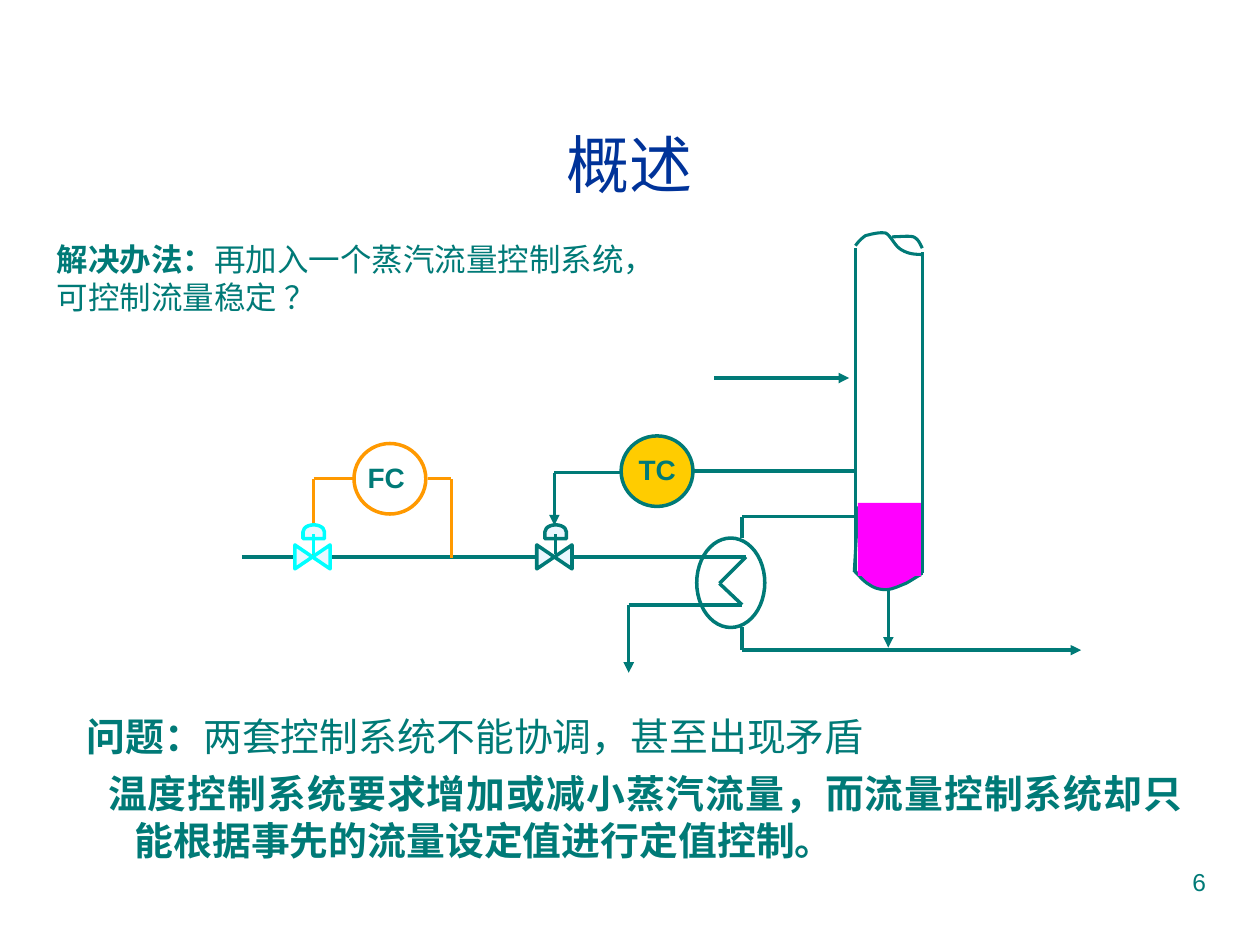
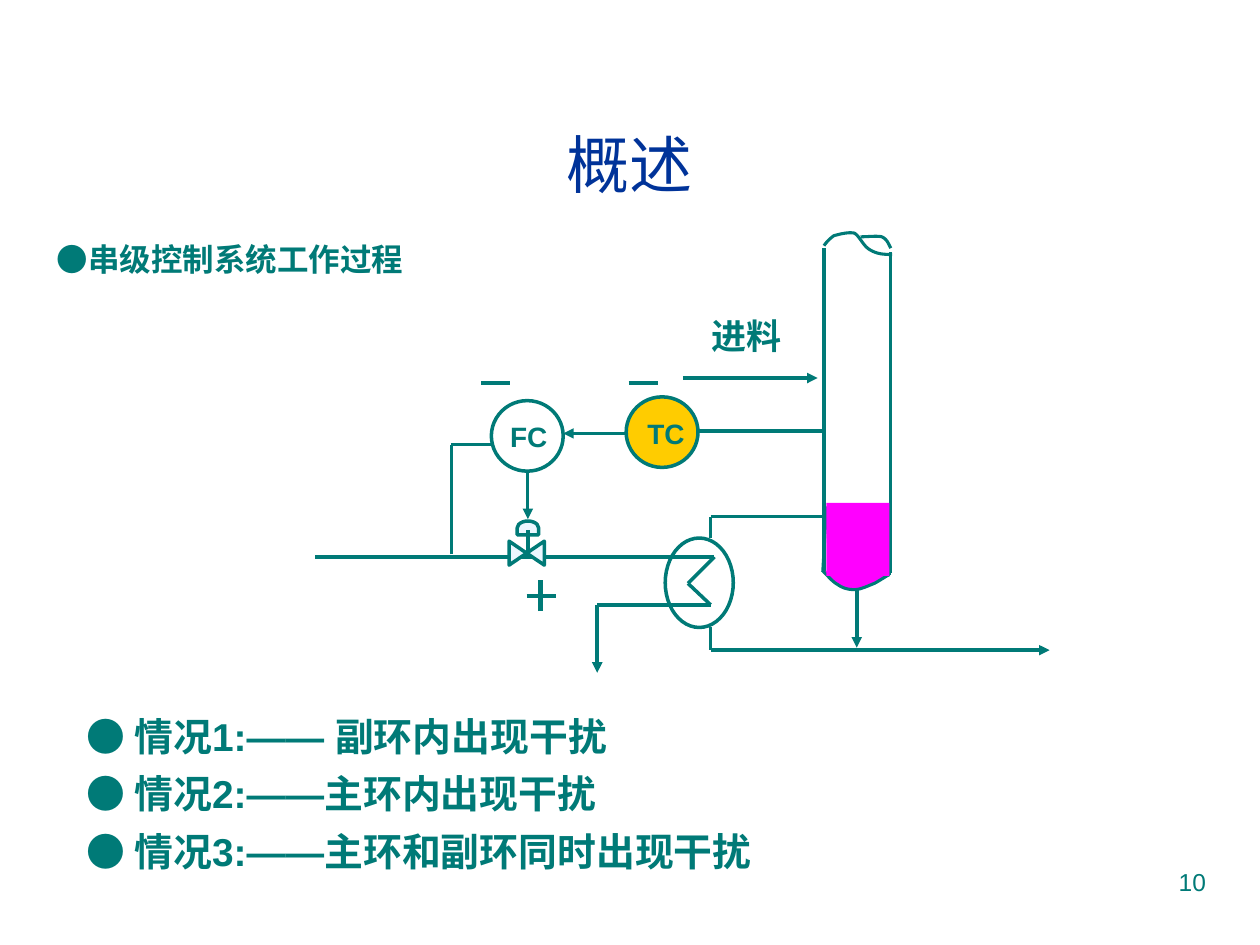
from dataclasses import dataclass
from typing import Optional

from lxml.etree import SubElement
from pptx import Presentation
from pptx.dml.color import RGBColor as Color
from pptx.enum.shapes import MSO_CONNECTOR as Link, MSO_SHAPE as Form
from pptx.enum.text import MSO_ANCHOR as Anchor, PP_ALIGN as Align
from pptx.oxml.ns import qn
from pptx.util import Cm, Pt

TEAL = Color(0x00, 0x7A, 0x77)
NAVY = Color(0x00, 0x33, 0x99)
GOLD = Color(0xFF, 0xCC, 0x00)
ORANGE = Color(0xFF, 0x99, 0x00)
CYAN = Color(0x00, 0xFF, 0xFF)
PINK = Color(0xFF, 0x00, 0xFF)
PALE = Color(0xEB, 0xF7, 0xFF)
FONT = "Arial"
GRID = 2.54  # centimetres in one grid unit
THIN, NORMAL, THICK = 1.75, 2, 2.75


@dataclass
class Para:
    text: str
    size: float
    lead: str = ""  # bold opening words
    bold: bool = False
    color: Color = TEAL
    align: Align = Align.LEFT
    before: float = 0
    left: float = 0
    first: float = 0


@dataclass
class Line:
    x1: float
    y1: float
    x2: float
    y2: float
    width: float = NORMAL
    color: Color = TEAL
    arrow: bool = False


@dataclass
class Dial:
    name: str
    x: float
    y: float
    dx: float  # label offset
    dy: float
    color: Color = TEAL
    fill: Optional[Color] = None


def unit(value: float) -> Cm:
    return Cm(value * GRID)


# Text
def fill_para(para, item: Para) -> None:
    para.alignment = item.align
    if item.before:
        para.space_before = Pt(item.before)
    if item.left:
        props = para._p.get_or_add_pPr()
        props.set("marL", str(unit(item.left)))
        props.set("indent", str(unit(item.first)))
    font = para.font
    font.name, font.size = FONT, Pt(item.size)
    font.color.rgb = item.color
    if item.lead:
        for words, bold in ((item.lead, True), (item.text, False)):
            run = para.add_run()
            run.text, run.font.bold = words, bold
    else:
        font.bold = item.bold
        para.add_run().text = item.text


def add_text(slide, x: float, y: float, w: float, h: float, *items: Para,
             wrap: bool = True, anchor: Anchor = Anchor.TOP) -> None:
    frame = slide.shapes.add_textbox(unit(x), unit(y), unit(w), unit(h)).text_frame
    frame.word_wrap, frame.vertical_anchor = wrap, anchor
    for i, item in enumerate(items):
        fill_para(frame.add_paragraph() if i else frame.paragraphs[0], item)


# Shapes and lines
def paint(shape, fill: Optional[Color], color: Optional[Color],
          width: float = NORMAL) -> None:
    shape.shadow.inherit = False
    if fill is None:
        shape.fill.background()
    else:
        shape.fill.solid()
        shape.fill.fore_color.rgb = fill
    if color is None:
        shape.line.fill.background()
    else:
        shape.line.color.rgb, shape.line.width = color, Pt(width)


def add_form(slide, form: Form, x: float, y: float, w: float, h: float,
             fill: Optional[Color] = None, color: Optional[Color] = TEAL,
             turn: float = 0) -> None:
    shape = slide.shapes.add_shape(form, unit(x), unit(y), unit(w), unit(h))
    shape.rotation = turn
    paint(shape, fill, color)


def add_line(slide, line: Line, dx: float = 0) -> None:
    link = slide.shapes.add_connector(
        Link.STRAIGHT, unit(line.x1 + dx), unit(line.y1),
        unit(line.x2 + dx), unit(line.y2))
    link.line.color.rgb, link.line.width = line.color, Pt(line.width)
    if line.arrow:
        SubElement(link.line._get_or_add_ln(), qn("a:tailEnd")).set("type", "triangle")
    SubElement(link._element.spPr, qn("a:effectLst"))


def add_curve(slide, nodes: list, dx: float, fill: Optional[Color] = None) -> None:
    """Draw cubic curves through a start point and triples of control points."""
    steps, dots = 10, []
    for i in range(0, len(nodes) - 1, 3):
        a, b, c, d = nodes[i:i + 4]
        for n in range(1, steps + 1):
            t = n / steps
            s = 1 - t
            x, y = (s**3 * p + 3 * s * s * t * q + 3 * s * t * t * r + t**3 * e
                    for p, q, r, e in zip(a, b, c, d))
            dots.append((unit(x + dx), unit(y)))
    x, y = nodes[0]
    pen = slide.shapes.build_freeform(unit(x + dx), unit(y))
    pen.add_line_segments(dots, close=False)
    paint(pen.convert_to_shape(), fill, TEAL, THIN)


# Plant parts
def add_dial(slide, dial: Dial) -> None:
    add_form(slide, Form.OVAL, dial.x, dial.y, 0.57, 0.56, dial.fill, dial.color)
    add_text(slide, dial.x + dial.dx, dial.y + dial.dy, 0.6, 0.37,
             Para(dial.name, 16, bold=True), wrap=False)


def add_valve(slide, x: float, y: float, color: Color = TEAL) -> None:
    stem = x + 0.01
    for form, mid, top, w, h in (
            (Form.FLOWCHART_COLLATE, x, y, 0.19, 0.28),
            (Form.FLOWCHART_DELAY, stem, y - 0.2, 0.11, 0.17)):
        add_form(slide, form, mid - w / 2, top - h / 2, w, h, PALE, color, 270)
    add_line(slide, Line(stem, y - 0.02, stem, y - 0.18, color=color))


PIPES = [
    Line(5.89, 4.98, 5.89, 5.16), Line(4.99, 4.8, 5.89, 4.8),
    Line(4.99, 4.8, 4.99, 5.34, arrow=True),
    Line(5.89, 4.1, 6.79, 4.1), Line(5.89, 4.27, 5.89, 4.1),
    Line(5.89, 5.16, 8.58, 5.16, arrow=True),
    Line(5.92, 4.42, 5.71, 4.63), Line(5.71, 4.63, 5.89, 4.8),
    Line(5.67, 3, 6.74, 3, arrow=True),
    Line(7.05, 4.67, 7.05, 5.14, arrow=True),
]
WALLS = [
    Line(6.79, 1.97, 6.79, 4.53, THIN), Line(7.32, 2, 7.32, 4.55, THIN),
    Line(6.81, 4.02, 6.78, 4.54, THIN), Line(7.31, 4.02, 7.31, 4.56, THIN),
]
RIM = [(6.79, 1.95), (6.81, 1.92), (6.84, 1.89), (6.87, 1.87), (6.91, 1.86),
       (6.98, 1.84), (7.03, 1.85), (7.07, 1.87), (7.1, 1.95), (7.15, 1.98),
       (7.2, 2.01), (7.24, 2.02), (7.33, 2.02)]
LIP = [(7.32, 1.97), (7.3, 1.93), (7.29, 1.9), (7.25, 1.88),
       (7.21, 1.87), (7.14, 1.88), (7.08, 1.88)]
BASE = [(6.78, 4.53), (6.82, 4.57), (6.86, 4.62), (6.9, 4.64), (6.94, 4.67),
        (6.99, 4.68), (7.03, 4.68), (7.08, 4.68), (7.14, 4.65), (7.19, 4.63),
        (7.23, 4.61), (7.27, 4.58), (7.31, 4.56)]


def add_plant(slide, dx: float, start: float) -> None:
    """Heater, tower and pipes, moved by dx; the steam pipe begins at start."""
    add_form(slide, Form.OVAL, 5.53 + dx, 4.27, 0.54, 0.71)
    add_line(slide, Line(start, 4.42, 5.92 + dx, 4.42))
    for line in PIPES + WALLS:
        add_line(slide, line, dx)
    for nodes, fill in ((RIM, None), (LIP, None), (BASE, PINK)):
        add_curve(slide, nodes, dx, fill)
    add_form(slide, Form.RECTANGLE, 6.81 + dx, 3.99, 0.5, 0.58, PINK, None)


def add_page(deck, number: int, lead: Para, *body: Para):
    """Blank slide with the shared title, lead, body and page number."""
    slide = deck.slides.add_slide(deck.slide_layouts[6])
    add_text(slide, 7.17, 6.83, 2.5, 0.52, Para(str(number), 14, align=Align.RIGHT))
    add_text(slide, 0.35, 1.86, 5.15, 0.7, lead)
    add_text(slide, 0.33, 0.67, 9.34, 1.25,
             Para("概述", 36, color=NAVY, align=Align.CENTER), anchor=Anchor.MIDDLE)
    add_text(slide, 0.59, 5.61, 8.9, 1.37, *body)
    return slide


def add_clash(deck) -> None:
    """Two separate control loops."""
    slide = add_page(
        deck, 6,
        Para("再加入一个蒸汽流量控制系统，可控制流量稳定 ？", 18, lead="解决办法："),
        Para("两套控制系统不能协调，甚至出现矛盾", 22.2, lead="问题：",
             align=Align.JUSTIFY, left=0.38, first=-0.38),
        Para("温度控制系统要求增加或减小蒸汽流量，而流量控制系统却只能根据事先的流量设定值进行定值控制。",
             22.2, bold=True, align=Align.JUSTIFY, before=6, left=0.38, first=-0.21))
    add_plant(slide, 0, 1.92)
    # Temperature loop
    for line in (Line(5.5, 3.74, 6.79, 3.74), Line(4.4, 3.75, 4.92, 3.75),
                 Line(4.4, 3.75, 4.4, 4.17, arrow=True)):
        add_line(slide, line)
    add_valve(slide, 4.4, 4.42)
    add_dial(slide, Dial("TC", 4.93, 3.46, 0.04, 0.08, fill=GOLD))
    # Flow loop
    for ends in ((2.49, 4.43, 2.49, 3.8), (2.49, 3.8, 2.81, 3.8),
                 (3.4, 3.8, 3.58, 3.8), (3.58, 3.8, 3.58, 4.43)):
        add_line(slide, Line(*ends, THIN, ORANGE))
    add_valve(slide, 2.48, 4.42, CYAN)
    add_dial(slide, Dial("FC", 2.81, 3.52, 0.01, 0.09, ORANGE))


def add_cascade(deck) -> None:
    """Cascade of the two loops."""
    cases = ("● 情况1:—— 副环内出现干扰", "● 情况2:——主环内出现干扰",
             "● 情况3:——主环和副环同时出现干扰")
    slide = add_page(
        deck, 10,
        Para("●串级控制系统工作过程", 18, bold=True),
        *(Para(case, 22.2, bold=True, align=Align.JUSTIFY, before=6 if i else 0,
               left=0.38, first=-0.38) for i, case in enumerate(cases)))
    add_plant(slide, -0.25, 2.5)
    # Signals
    for line in (Line(5.42, 3.42, 6.54, 3.42), Line(4.97, 3.44, 4.47, 3.44, arrow=True),
                 Line(3.58, 4.4, 3.58, 3.53, THIN), Line(3.58, 3.53, 3.92, 3.53, THIN),
                 Line(4.19, 3.75, 4.19, 4.12, THIN, arrow=True)):
        add_line(slide, line)
    add_valve(slide, 4.18, 4.39)
    add_dial(slide, Dial("TC", 4.97, 3.15, 0.07, 0.11, fill=GOLD))
    add_dial(slide, Dial("FC", 3.9, 3.18, 0.05, 0.1))
    # Minus and plus signs
    for x, y in ((3.82, 3.04), (4.99, 3.04), (4.18, 4.73)):
        add_line(slide, Line(x, y, x + 0.23, y, THICK))
    add_line(slide, Line(4.29, 4.85, 4.29, 4.6, THICK))
    add_text(slide, 5.51, 2.45, 0.83, 0.44,
             Para("进料", 20, bold=True, align=Align.CENTER))


def main() -> None:
    deck = Presentation()
    deck.slide_width, deck.slide_height = Cm(25.4), Cm(19.05)
    add_clash(deck)
    add_cascade(deck)
    deck.save("out.pptx")


if __name__ == "__main__":
    main()
